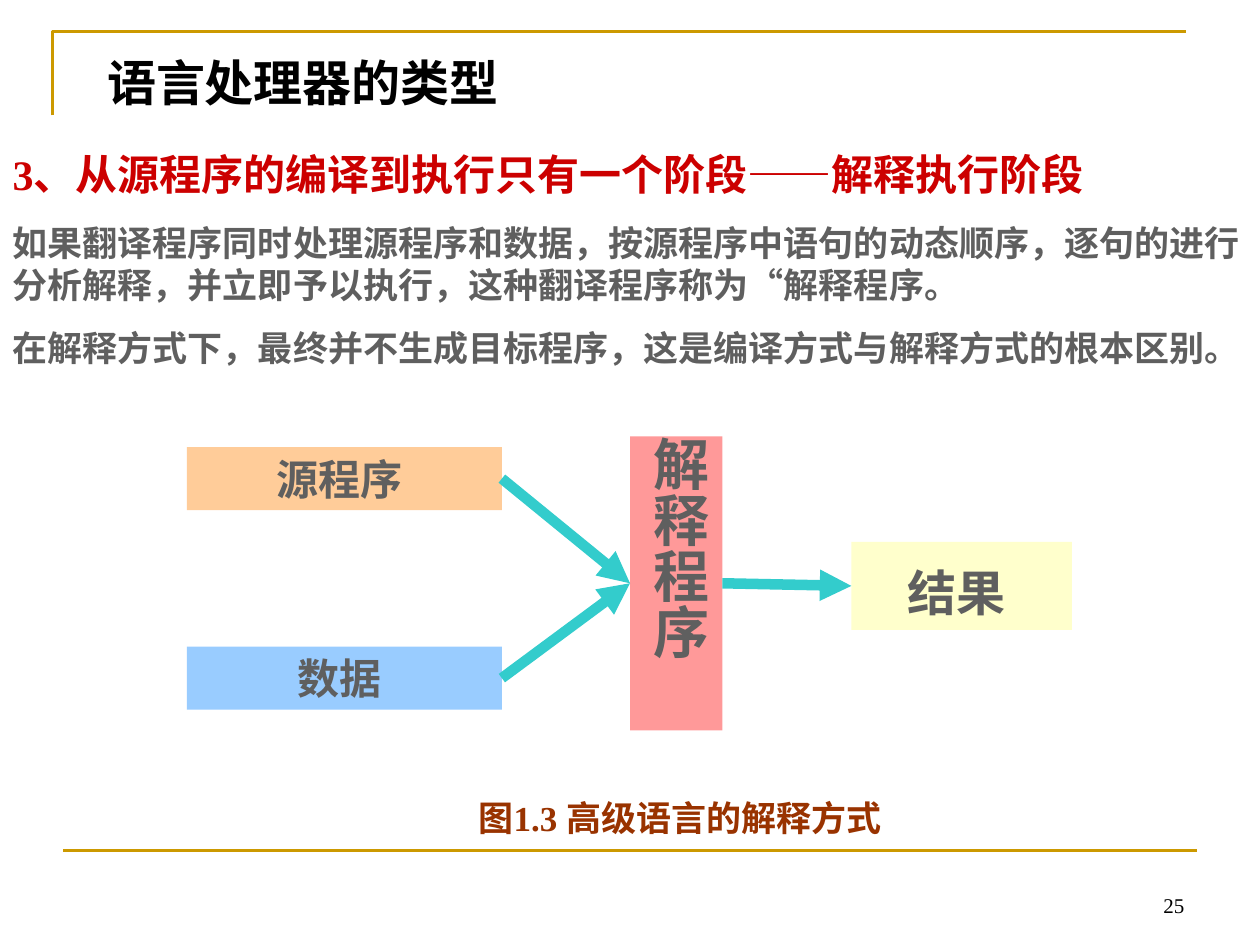
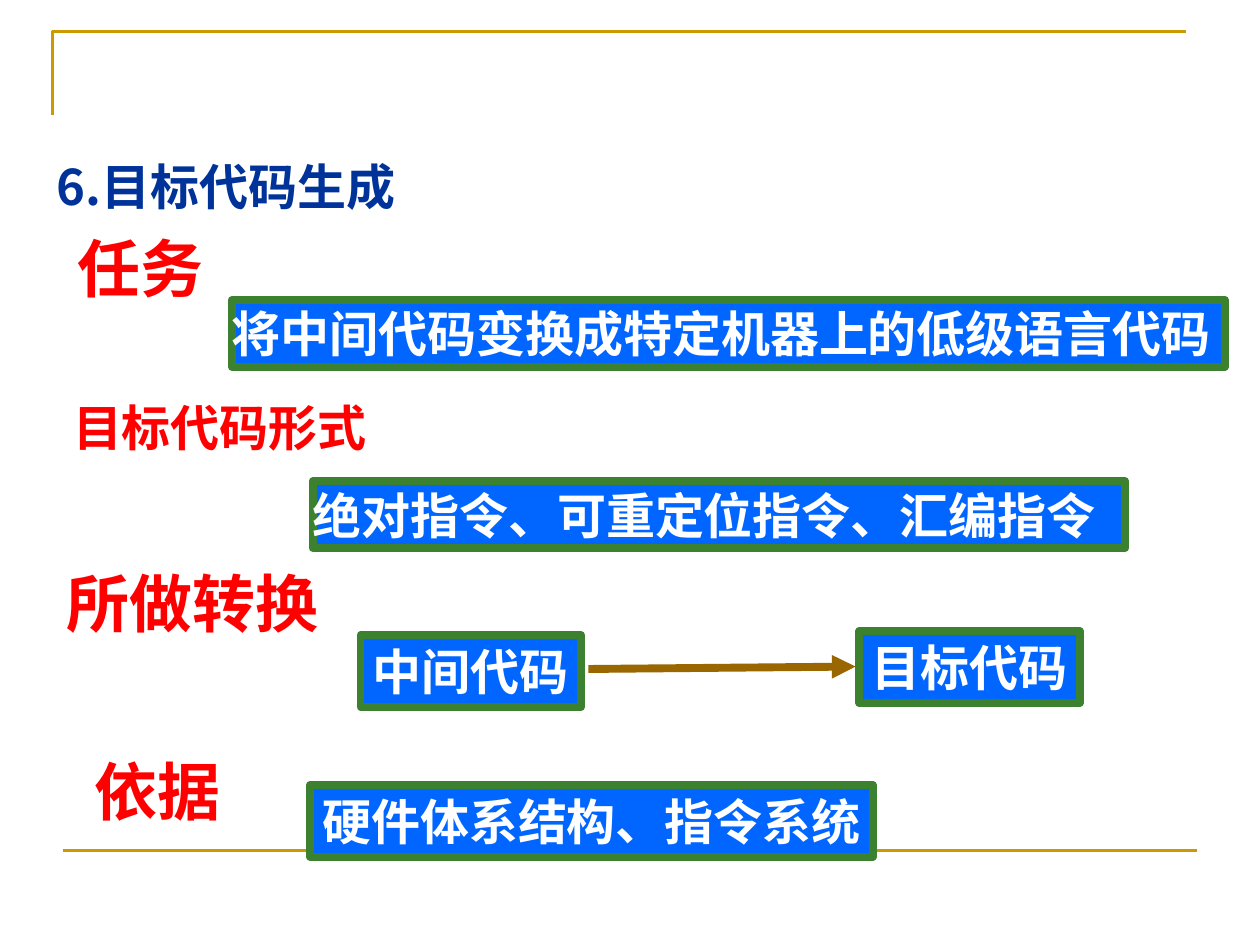
import pptx
import pptx.util
import pptx.dml.color
import pptx.enum.shapes
import pptx.enum.text
import pptx.oxml
import pptx.oxml.ns

Pt = pptx.util.Pt
ALIGN = pptx.enum.text.PP_ALIGN
ANCHOR = pptx.enum.text.MSO_ANCHOR
RECTANGLE = pptx.enum.shapes.MSO_SHAPE.RECTANGLE
STRAIGHT = pptx.enum.shapes.MSO_CONNECTOR.STRAIGHT
SERIF, SANS = "Times New Roman", "Noto Sans CJK SC"
GOLD, GREY, BLACK, WHITE = "CC9900", "5F5F5F", "000000", "FFFFFF"
RED, BLUE, GREEN, TEAL = "FF0000", "0066FF", "3B812F", "33CCCC"


def paint(target, color):
    """Give a fill, a line or a font one solid colour."""
    if hasattr(target, "solid"):
        target.solid()
        target = target.fore_color
    else:
        target = target.color
    target.rgb = pptx.dml.color.RGBColor.from_string(color)


def write(box, text, size, font, color, align=ALIGN.CENTER, bold=True):
    """Put one formatted line in a box, centred vertically."""
    frame = box.text_frame
    frame.text = text
    frame.word_wrap = False
    frame.auto_size = pptx.enum.text.MSO_AUTO_SIZE.NONE
    frame.vertical_anchor = ANCHOR.MIDDLE
    frame.margin_left = frame.margin_right = Pt(0)
    frame.margin_top = frame.margin_bottom = Pt(0)
    para = frame.paragraphs[0]
    para.alignment = align
    for span in para.runs:
        span.font.size, span.font.name, span.font.bold = Pt(size), font, bold
        paint(span.font, color)


deck = pptx.Presentation()
deck.slide_width, deck.slide_height = Pt(720), Pt(540)
interpreter_page = deck.slides.add_slide(deck.slide_layouts[1])
target_page = deck.slides.add_slide(deck.slide_layouts[5])
connectors = []  # connector, colour, width, has an arrowhead

# Shared frame: corner at the top, rule at the bottom
for page in (interpreter_page, target_page):
    outline = page.shapes.build_freeform(Pt(30), Pt(66))
    outline.add_line_segments([(Pt(30), Pt(18)), (Pt(678), Pt(18))], close=False)
    corner = outline.convert_to_shape()
    corner.shadow.inherit = False
    corner.fill.background()
    paint(corner.line, GOLD)
    corner.line.width = Pt(1.5)
    rule = page.shapes.add_connector(STRAIGHT, Pt(36), Pt(486), Pt(684), Pt(486))
    connectors.append((rule, GOLD, 1.5, False))

# Titles
for page, text, font, color, place in (
    (interpreter_page, "语言处理器的类型", SERIF, BLACK, (61.2, 26.5, 588, 41)),
    (target_page, "6.目标代码生成", SANS, "003399", (32.4, 85.5, 230, 41)),
):
    title = page.shapes.title
    title.left, title.top, title.width, title.height = map(Pt, place)
    write(title, text, 28, font, color, ALIGN.LEFT)

# Interpreter page: explanation
body = interpreter_page.placeholders[1]
body.left, body.top, body.width, body.height = Pt(0), Pt(81.4), Pt(720), Pt(133)
frame = body.text_frame
frame.margin_left = frame.margin_right = Pt(7.2)
frame.margin_top = frame.margin_bottom = Pt(3.6)
frame.auto_size = pptx.enum.text.MSO_AUTO_SIZE.NONE
frame.text = "\n".join((
    "3、从源程序的编译到执行只有一个阶段——解释执行阶段",
    "如果翻译程序同时处理源程序和数据，按源程序中语句的动态顺序，逐句的进行分析解释，"
    "并立即予以执行，这种翻译程序称为“解释程序。",
    "在解释方式下，最终并不生成目标程序，这是编译方式与解释方式的根本区别。",
))
for index, para in enumerate(frame.paragraphs):
    size, color = (20, GREY) if index else (24, "CC0000")
    properties = para._p.get_or_add_pPr()
    properties.set("marL", "0")
    properties.set("indent", "0")
    pptx.oxml.ns.qn("a:buNone")
    properties.append(properties.makeelement(pptx.oxml.ns.qn("a:buNone"), {}))
    para.space_before = Pt(12.5 if index else 0)
    para.line_spacing = Pt(size * 1.2)
    for span in para.runs:
        span.font.size, span.font.name, span.font.bold = Pt(size), SERIF, True
        paint(span.font, color)

# Interpreter page: diagram
blocks = {}
for name, text, size, font, fill, place in (
    ("source", "源程序 ", 24, SERIF, "FFCC99", (106.8, 255.5, 180, 36)),
    ("data", "数据 ", 24, SERIF, "99CCFF", (106.8, 369.5, 180, 36)),
    ("interpreter", "解释程序 ", 32, SANS, "FF9999", (360, 249.3, 52.8, 168)),
    ("result", "结果 ", 28, SERIF, "FFFFCC", (486.5, 309.6, 126, 50.4)),
):
    block = interpreter_page.shapes.add_shape(RECTANGLE, *map(Pt, place))
    block.shadow.inherit = False
    paint(block.fill, fill)
    block.line.fill.background()
    write(block, text, size, font, GREY)
    blocks[name] = block
interpreter_frame = blocks["interpreter"].text_frame
interpreter_frame._txBody.bodyPr.set("vert", "eaVert")
interpreter_frame.margin_left = Pt(7.2)
blocks["result"].text_frame.margin_top = Pt(7.2)

for start, end in (("source", "interpreter"), ("data", "interpreter"),
                   ("interpreter", "result")):
    arrow = interpreter_page.shapes.add_connector(STRAIGHT, 0, 0, 0, 0)
    arrow.begin_connect(blocks[start], 3)
    arrow.end_connect(blocks[end], 1)
    connectors.append((arrow, TEAL, 6, True))

# Interpreter page: caption and page number
caption = interpreter_page.shapes.add_textbox(Pt(190), Pt(451.5), Pt(402), Pt(31.5))
write(caption, "图1.3 高级语言的解释方式 ", 20, SERIF, "993300")
number = interpreter_page.shapes.add_textbox(Pt(516), Pt(505), Pt(160.8), Pt(24))
write(number, "25", 12, SERIF, BLACK, ALIGN.RIGHT, False)

# Target code page: red labels
for text, size, place in (
    ("任务", 36, (37.4, 127.5, 86.4, 50.4)),
    ("目标代码形式", 28, (34.6, 223.2, 182, 41)),
    ("所做转换", 36, (31, 319, 158.4, 50.4)),
    ("依据", 36, (46.8, 426.3, 86.4, 50.4)),
):
    label = target_page.shapes.add_textbox(*map(Pt, place))
    write(label, text, size, SANS, RED)

# Target code page: blue boxes
for text, align, place in (
    ("将中间代码变换成特定机器上的低级语言代码", ALIGN.LEFT, (132.5, 171.4, 567.4, 38.2)),
    ("绝对指令、可重定位指令、汇编指令", ALIGN.LEFT, (178.6, 275, 464.4, 38.2)),
    ("中间代码", ALIGN.CENTER, (206, 363, 126, 41)),
    ("目标代码", ALIGN.CENTER, (491, 360.7, 126, 41)),
    ("硬件体系结构、指令系统", ALIGN.CENTER, (177.1, 448.6, 321.8, 41)),
):
    box = target_page.shapes.add_shape(RECTANGLE, *map(Pt, place))
    box.shadow.inherit = False
    paint(box.fill, BLUE)
    paint(box.line, GREEN)
    box.line.width = Pt(4.5)
    write(box, text, 28, SANS, WHITE, align)

arrow = target_page.shapes.add_connector(
    STRAIGHT, Pt(336.2), Pt(382.3), Pt(488.9), Pt(380.9))
connectors.append((arrow, "996600", 4.5, True))

# Line style of every connector
for connector, color, width, has_head in connectors:
    paint(connector.line, color)
    connector.line.width = Pt(width)
    if has_head:
        line = connector.line._get_or_add_ln()
        line.append(line.makeelement(pptx.oxml.ns.qn("a:tailEnd"), {"type": "triangle"}))
    properties = connector._element.spPr
    properties.append(properties.makeelement(pptx.oxml.ns.qn("a:effectLst"), {}))

deck.save("out.pptx")
